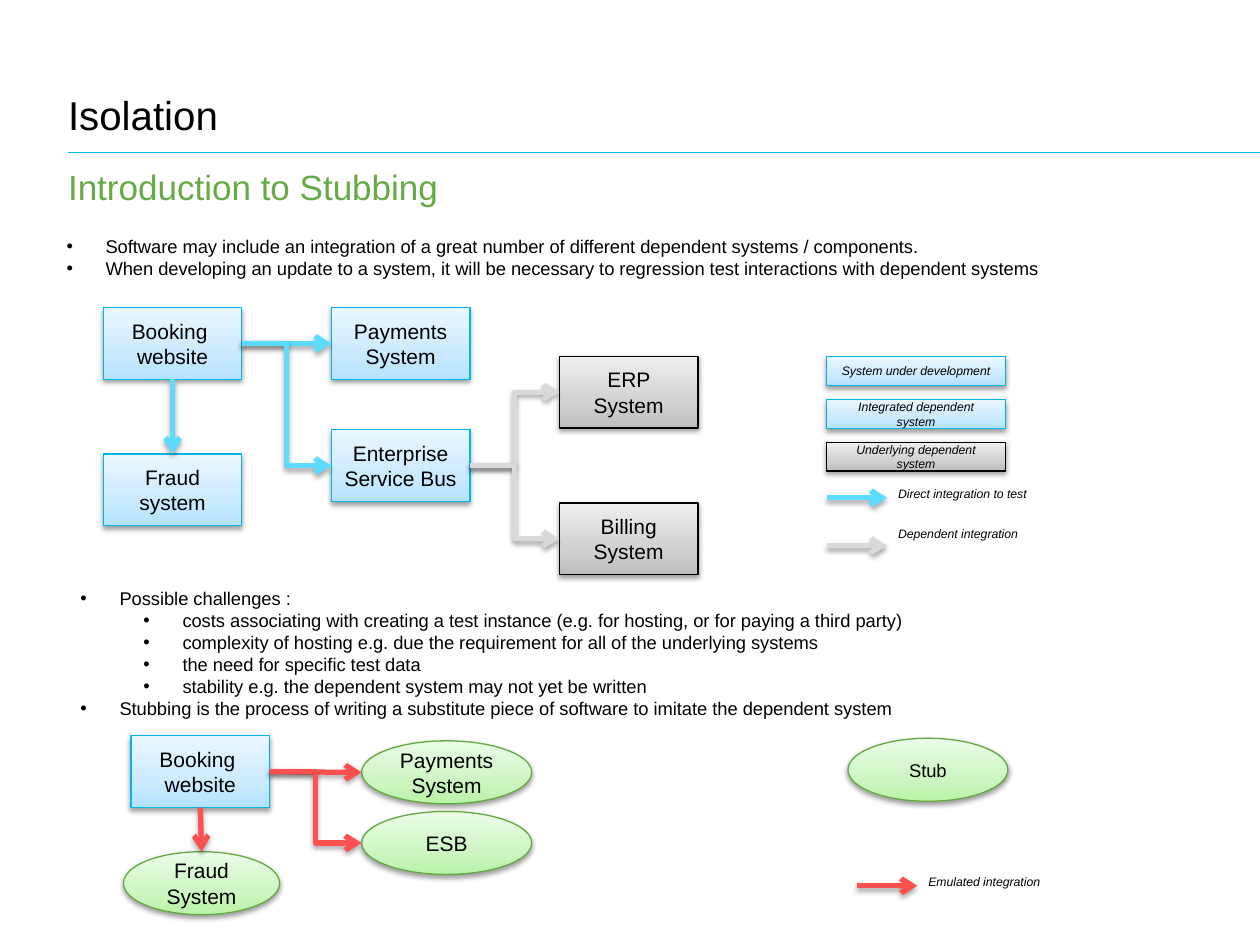
from copy import deepcopy
from lxml import etree
from pptx import Presentation
from pptx import util as u
from pptx.dml.color import RGBColor
from pptx.enum import shapes, text
from pptx.oxml import parse_xml
from pptx.oxml.ns import nsdecls, qn

BLACK = RGBColor(0x00, 0x00, 0x00)
GREEN = RGBColor(0x66, 0xAA, 0x44)
RULE = RGBColor(0x00, 0xBB, 0xEE)
CYAN = RGBColor(0x5C, 0xDC, 0xFF)
GREY = RGBColor(0xD9, 0xD9, 0xD9)
RED = RGBColor(0xFF, 0x50, 0x50)
EDGE = RGBColor(0x00, 0xB7, 0xE9)
LEAF = RGBColor(0x63, 0xA9, 0x40)
RECT, OVAL = shapes.MSO_SHAPE.RECTANGLE, shapes.MSO_SHAPE.OVAL
KINDS = {
    "live": (RECT, EDGE, ("B4E2FF", "CAEAFF", "EBF7FF")),
    "deep": (RECT, BLACK, ("BDBDBD", "D1D1D1", "EEEEEE")),
    "stub": (OVAL, LEAF, ("B8F3A7", "CDF6C2", "EBFCE7")),
}
WIDE, HIGH = 10, 7.5
LEFT = 0.54
BOX = (1.1, 0.57)
COL, ROW = 1.81, 0.194
STEP = 0.34
TOP, RIGHT, BASE, SIDE = 0, 3, 2, 1

INTRO = [
    (0, "Software may include an integration of a great number of different dependent systems / components."),
    (0, "When developing an update to a system, it will be necessary to regression test interactions with dependent systems"),
]
ISSUES = [
    (0, "Possible challenges :"),
    (1, "costs associating with creating a test instance (e.g. for hosting, or for paying a third party)"),
    (1, "complexity of hosting e.g. due the requirement for all of the underlying systems"),
    (1, "the need for specific test data"),
    (1, "stability e.g. the dependent system may not yet be written"),
    (0, "Stubbing is the process of writing a substitute piece of software to imitate the dependent system"),
]
SYSTEMS = {
    "web": ("Booking \vwebsite", "live", 0, 0),
    "pay": ("Payments System", "live", 1, 0),
    "bus": ("Enterprise Service Bus", "live", 1, 5),
    "erp": ("ERP System", "deep", 2, 2),
    "bill": ("Billing System", "deep", 2, 8),
    "fraud": ("Fraud system", "live", 0, 6),
}
LINKS = [
    ("web", RIGHT, "pay", SIDE, CYAN),
    ("web", RIGHT, "bus", SIDE, CYAN),
    ("bus", RIGHT, "erp", SIDE, GREY),
    ("bus", RIGHT, "bill", SIDE, GREY),
    ("web", BASE, "fraud", TOP, CYAN),
]
LEGEND = [
    ("System under development", "live"),
    ("Integrated dependent system", "live"),
    ("Underlying dependent system", "deep"),
]
KEYS = [(6.56, 3.95, CYAN), (6.56, 4.33, GREY), (6.8, 7.03, RED)]
STUBS = [
    ("Payments System", 2.87, 5.88, 1.35, SIDE),
    ("ESB", 2.87, 6.44, 1.35, SIDE),
    ("Fraud System", 0.98, 6.76, 1.24, TOP),
]

prs = Presentation()
prs.slide_width, prs.slide_height = u.Inches(WIDE), u.Inches(HIGH)
slide = prs.slides.add_slide(prs.slide_layouts[5])
items = slide.shapes


def inch(*nums):
    return [u.Inches(n) for n in nums]


def write(shape, lines, size=10.5, color=BLACK, italic=False, align=text.PP_ALIGN.LEFT,
          anchor=text.MSO_ANCHOR.TOP, inset=(0.1, 0.05, 0.1, 0.05), wrap=True,
          bullet=False, gap=0, lead=None):
    frame = shape.text_frame
    frame.auto_size = text.MSO_AUTO_SIZE.NONE
    frame.word_wrap, frame.vertical_anchor = wrap, anchor
    (frame.margin_left, frame.margin_top,
     frame.margin_right, frame.margin_bottom) = inch(*inset)
    for i, (level, words) in enumerate(lines):
        para = frame.add_paragraph() if i else frame.paragraphs[0]
        para.text, para.level, para.alignment = words, level, align
        para.space_before = u.Pt(gap if i else 0)
        if lead:
            para.line_spacing = lead
        if bullet:
            props = para._p.get_or_add_pPr()
            props.set("marL", str(u.Inches(0.31 + 0.5 * level)))
            props.set("indent", str(u.Inches(-0.31)))
            etree.SubElement(props, qn("a:buFont")).set("typeface", "Arial")
            etree.SubElement(props, qn("a:buChar")).set("char", "•")
        for run in para.runs:
            font = run.font
            font.name, font.size, font.italic = "Arial", u.Pt(size), italic
            font.color.rgb = color
        for brk in para._p.findall(qn("a:br")):
            brk.append(deepcopy(para.runs[0]._r.rPr))


def label(lines, *area, **form):
    write(items.add_textbox(*inch(*area)), lines, **form)


def shade(item, dist, alpha):
    props = item._element.spPr
    for old in props.findall(qn("a:effectLst")):
        props.remove(old)
    props.append(parse_xml(
        f'<a:effectLst {nsdecls("a")}><a:outerShdw blurRad="{u.Pt(3.1)}" dist="{u.Pt(dist)}" '
        f'dir="5400000" rotWithShape="0"><a:srgbClr val="000000"><a:alpha val="{alpha}000"/>'
        '</a:srgbClr></a:outerShdw></a:effectLst>'))


def node(words, kind, *area, size=12, **form):
    preset, edge, tones = KINDS[kind]
    shape = items.add_shape(preset, *inch(*area))
    stops = "".join(f'<a:gs pos="{pos}"><a:srgbClr val="{tone}"/></a:gs>'
                    for pos, tone in zip((0, 35000, 100000), tones))
    shape._element.spPr.append(parse_xml(
        f'<a:gradFill {nsdecls("a")} rotWithShape="1"><a:gsLst>{stops}</a:gsLst>'
        '<a:lin ang="16200000" scaled="0"/></a:gradFill>'))
    shape.line.color.rgb, shape.line.width = edge, u.Pt(0.75)
    shade(shape, 1.6, 38)
    write(shape, [(0, words)], size=size, align=text.PP_ALIGN.CENTER,
          anchor=text.MSO_ANCHOR.MIDDLE, **form)
    return shape


def port(shape, side):
    across, down = ((0.5, 0), (0, 0.5), (0.5, 1), (1, 0.5))[side]
    return (int(shape.left + shape.width * across), int(shape.top + shape.height * down))


def arrow(start, end, color, bent=False):
    kind = shapes.MSO_CONNECTOR.ELBOW if bent else shapes.MSO_CONNECTOR.STRAIGHT
    line = items.add_connector(kind, *start, *end)
    line.line.color.rgb, line.line.width = color, u.Pt(3)
    etree.SubElement(line.line._get_or_add_ln(), qn("a:tailEnd")).set("type", "arrow")
    shade(line, 1.8, 35)
    return line


def link(src, out, dst, into, color):
    start, end = port(src, out), port(dst, into)
    bent = out == RIGHT and abs(start[1] - end[1]) > u.Inches(0.1)
    line = arrow(start, end, color, bent)
    line.begin_connect(src, out)
    if dst.auto_shape_type == RECT:
        line.end_connect(dst, into)


rule = items.add_connector(shapes.MSO_CONNECTOR.STRAIGHT, *inch(LEFT, 1.21, WIDE, 1.21))
rule.line.color.rgb, rule.line.width = RULE, u.Pt(1)
etree.SubElement(rule._element.spPr, qn("a:effectLst"))

title = items.title
title.left, title.top, title.width, title.height = inch(LEFT, 0, WIDE - 2 * LEFT, 1.1)
flush = (0, 0.05, 0, 0)
write(title, [(0, "Isolation")], size=23, anchor=text.MSO_ANCHOR.BOTTOM, inset=flush)
label([(0, "Introduction to Stubbing")], LEFT, 1.28, WIDE - 2 * LEFT, 0.43,
      size=20, color=GREEN, inset=flush, lead=0.97)
label(INTRO, 0.43, 1.82, 9.4, 0.45, bullet=True)
label(ISSUES, LEFT, 4.61, 9.28, 1.16, bullet=True)

nodes = {key: node(words, kind, 0.82 + COL * col, 2.44 + ROW * row, *BOX)
         for key, (words, kind, col, row) in SYSTEMS.items()}
for src, out, dst, into, color in LINKS:
    link(nodes[src], out, nodes[dst], into, color)

for i, (words, kind) in enumerate(LEGEND):
    node(words, kind, 6.56, 2.83 + STEP * i, 1.42, 0.23, size=7, italic=True)
for x, y, color in KEYS:
    arrow(inch(x, y), inch(x + 0.48, y), color)
label([(0, "Direct integration to test"), (0, "Dependent integration")],
      7.03, 3.81, 1.24, 0.54, size=7, italic=True, wrap=False, gap=14.5)
label([(0, "Emulated integration")], 7.27, 6.89, 1.1, 0.42, size=7, italic=True, wrap=False)

site = node("Booking \vwebsite", "live", 1.04, 5.84, *BOX)
for words, x, y, width, into in STUBS:
    stub = node(words, "stub", x, y, width, 0.5)
    link(site, BASE if into == TOP else RIGHT, stub, into, RED)
node("Stub", "stub", 6.73, 5.86, 1.27, 0.5, size=10.5, inset=(0, 0, 0, 0))

prs.save("out.pptx")
